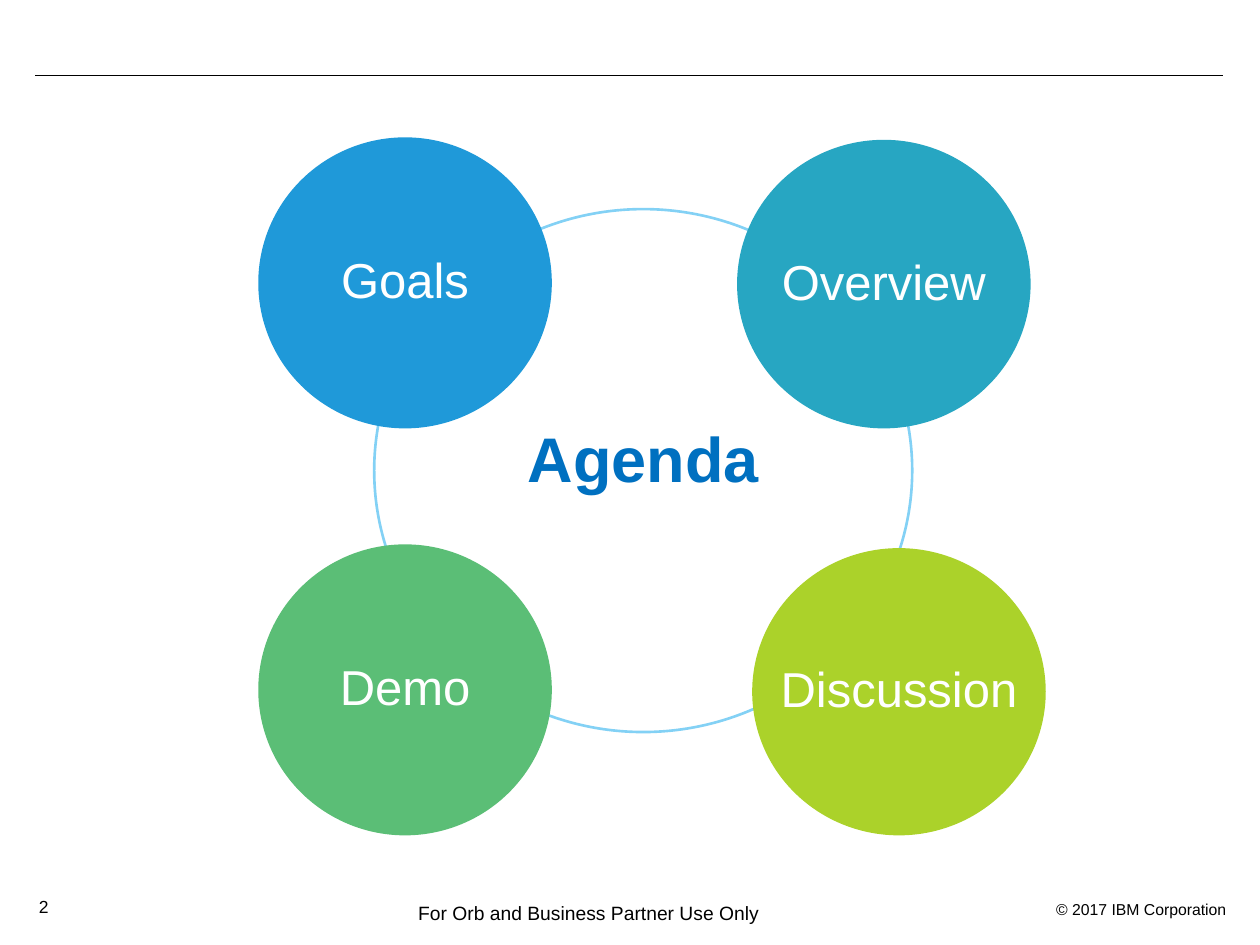
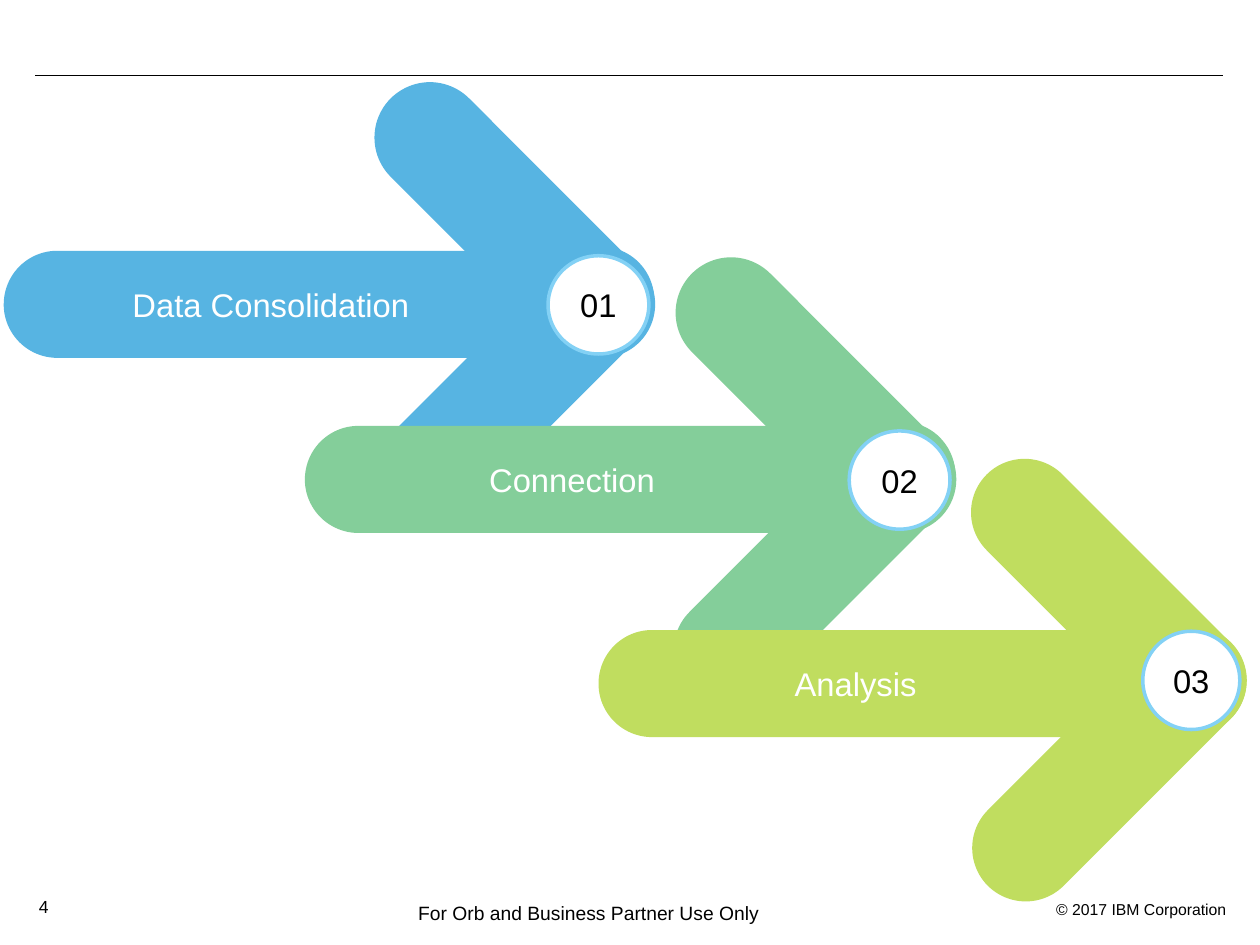
from lxml.etree import SubElement
from pptx import Presentation
from pptx.dml.color import RGBColor
from pptx.enum.shapes import MSO_CONNECTOR, MSO_SHAPE
from pptx.enum.text import MSO_ANCHOR, PP_ALIGN
from pptx.oxml.ns import qn
from pptx.util import Inches, Pt

WIDE, HIGH = Inches(10), Inches(7.5)
COLS, ROWS = 100, 75
FONT = "Arial"
BLACK, WHITE, RING, TITLE = "000000", "FFFFFF", "83D1F5", "0070C0"
MIDDLE = {"vertical_anchor": MSO_ANCHOR.MIDDLE}
CENTER = {"alignment": PP_ALIGN.CENTER}


def col(count):
    return round(WIDE * count / COLS)


def row(count):
    return round(HIGH * count / ROWS)


def area(left, top, width, height):
    return col(left), row(top), col(width), row(height)


def tint(code):
    return RGBColor.from_string(code)


def apply(target, values):
    for name, value in values.items():
        setattr(target, name, value)


def write(shape, words, size, color, frame=None, para=None, bold=False):
    text = shape.text_frame
    apply(text, frame or {})
    line = text.paragraphs[0]
    line.text = words
    apply(line, para or {})
    font = line.runs[0].font
    apply(font, {"name": FONT, "size": Pt(size), "bold": bold})
    font.color.rgb = tint(color)


def label(slide, place, words, size, color=BLACK, para=None, bold=False):
    box = slide.shapes.add_textbox(*area(*place))
    write(box, words, size, color, {"word_wrap": True}, para, bold)


def figure(parent, kind, place, fill=None, edge=None, width=0):
    shape = parent.shapes.add_shape(kind, *area(*place))
    shape.shadow.inherit = False
    if fill:
        shape.fill.solid()
        shape.fill.fore_color.rgb = tint(fill)
    else:
        shape.fill.background()
    if edge:
        shape.line.color.rgb = tint(edge)
        shape.line.width = Pt(width)
    else:
        shape.line.fill.background()
    return shape


def rule(slide, left, right, top):
    line = slide.shapes.add_connector(
        MSO_CONNECTOR.STRAIGHT, col(left), row(top), col(right), row(top))
    line.line.color.rgb = tint(BLACK)
    line.line.width = Pt(0.75)
    SubElement(line._element.spPr, qn("a:effectLst"))


def page(deck, number):
    slide = deck.slides.add_slide(deck.slide_layouts[6])
    rule(slide, 2.8, 97.1, 6)
    label(slide, (64.9, 70.9, 33.4, 2.5), "© 2017 IBM Corporation", 9,
          para={"alignment": PP_ALIGN.RIGHT})
    label(slide, (2.1, 70.6, 6, 2.7), str(number), 10)
    label(slide, (32.2, 71, 31.7, 2.9),
          "For Orb and Business Partner Use Only", 11)
    return slide


def topic(slide, place, words, fill):
    disc = figure(slide, MSO_SHAPE.OVAL, place, fill)
    write(disc, words, 28, WHITE, {**MIDDLE, "word_wrap": False},
          {**CENTER, "line_spacing": 0.9})


def bar(group, place, fill, turn=0):
    shape = figure(group, MSO_SHAPE.ROUNDED_RECTANGLE, place, fill)
    shape.adjustments[0] = 0.5
    shape.rotation = turn
    return shape


def arrow(slide, number, words, fill, left, top, length, upper, lower, badge):
    group = slide.shapes.add_group_shape()
    for turn, (across, down, width, height) in ((45, upper), (135, lower)):
        bar(group, (left + across, top + down, width, height), fill, turn)
    shaft = bar(group, (left, top, length, 8.5), fill)
    inset = {"margin_left": 0, "margin_top": 0,
             "margin_right": col(9.3), "margin_bottom": 0}
    write(shaft, words, 18.7, WHITE, {**MIDDLE, **inset}, CENTER)
    down, width = badge
    disc = figure(group, MSO_SHAPE.OVAL,
                  (left + 43.2, top + down, width, 7.8), WHITE, RING, 2)
    write(disc, f"{number:02}", 18.7, BLACK,
          {**MIDDLE, "word_wrap": False}, CENTER)


def agenda(deck):
    slide = page(deck, 2)
    figure(slide, MSO_SHAPE.OVAL, (29.7, 16.6, 42.7, 41.5), None, RING, 1.5)
    for words, fill, left, top, height in (
            ("Goals", "1F99D9", 20.5, 10.9, 23.1),
            ("Overview", "27A6C2", 58.5, 11.1, 22.9),
            ("Discussion", "ABD22A", 59.7, 43.5, 22.8),
            ("Demo", "5BBE76", 20.5, 43.2, 23.1)):
        topic(slide, (left, top, 23.3, height), words, fill)
    label(slide, (40.9, 32.8, 20.5, 7.1), "Agenda", 36, TITLE, bold=True)


def steps(deck):
    slide = page(deck, 4)
    large = (51.7, (26.7, -6.8, 27.4, 8.8), (26.4, 6.6, 28.1, 8.5), (0.4, 8))
    small = (50.1, (26.8, -6.9, 27.4, 8.5), (26.9, 6.4, 27.3, 8.5), (0.1, 7.7))
    stages = (("Data Consolidation", "57B4E2", 0.3, 19.9, large),
              ("Connection", "84CE9A", 24.2, 33.8, large),
              ("Analysis", "C0DD5F", 47.5, 50, small))
    for number, (words, fill, left, top, form) in enumerate(stages, 1):
        arrow(slide, number, words, fill, left, top, *form)


def main():
    deck = Presentation()
    apply(deck, {"slide_width": WIDE, "slide_height": HIGH})
    agenda(deck)
    steps(deck)
    deck.save("out.pptx")


if __name__ == "__main__":
    main()
